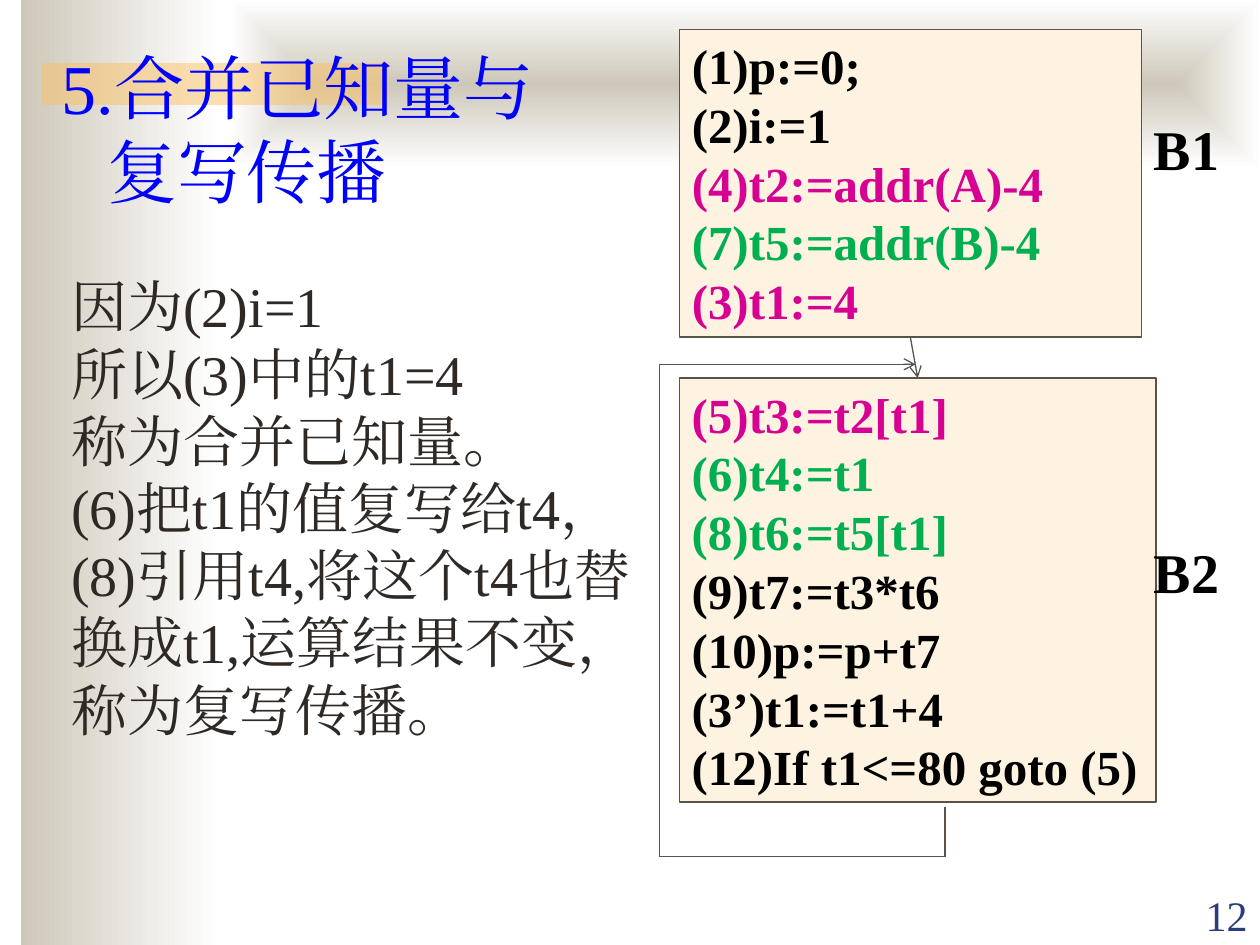
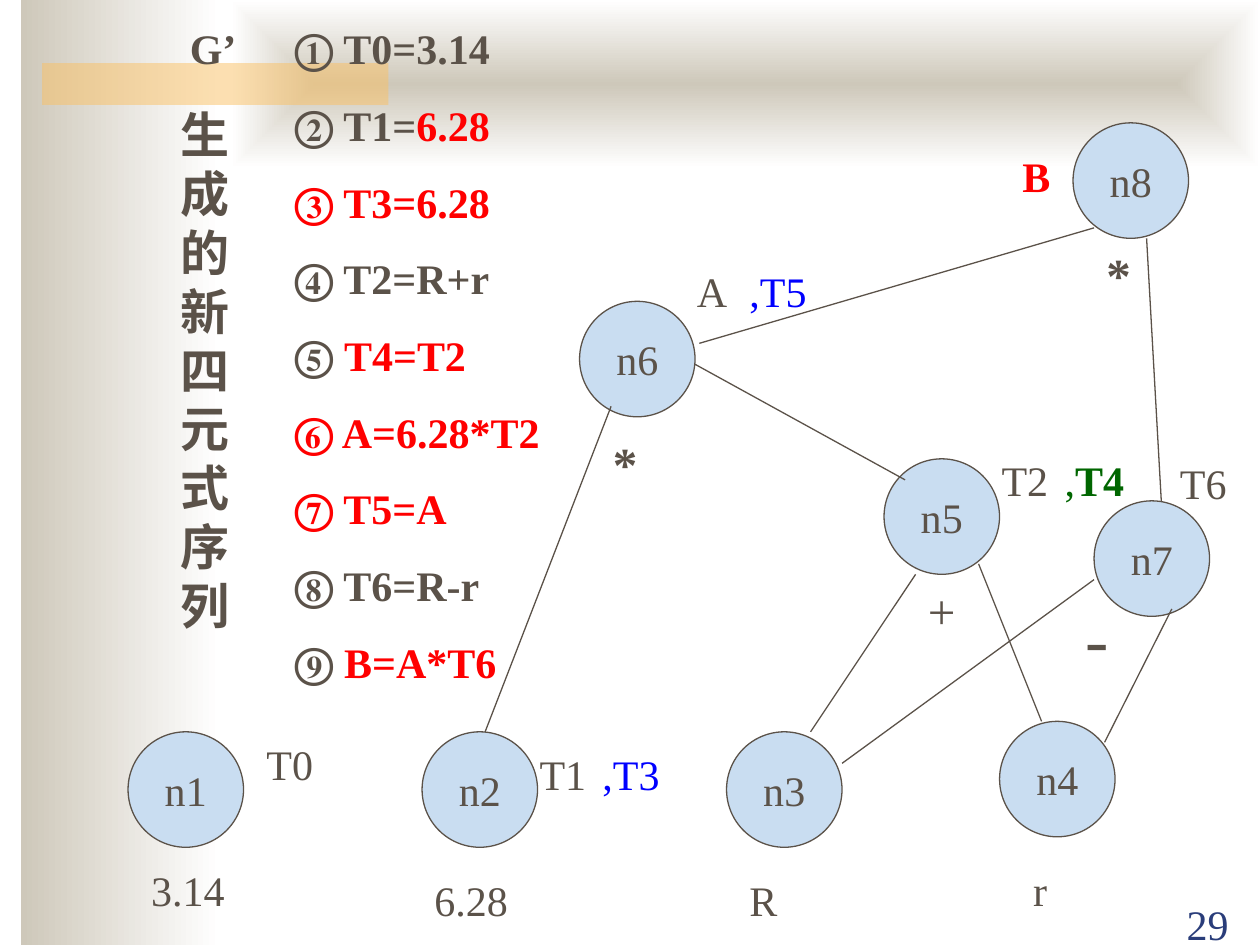
from dataclasses import dataclass
from typing import NamedTuple

from lxml import etree
from pptx import Presentation
from pptx.dml.color import RGBColor
from pptx.enum.shapes import MSO_CONNECTOR as Connector, MSO_SHAPE as Preset
from pptx.enum.text import MSO_ANCHOR as Anchor, PP_ALIGN as Align
from pptx.oxml.ns import qn
from pptx.util import Inches, Pt

# The slide is a grid of 120 columns and 90 rows, twelve to the inch.
WIDTH, HEIGHT = Inches(10), Inches(7.5)
COLUMN, ROW = WIDTH / 120, HEIGHT / 90

SERIF, SANS = "Times New Roman", "Noto Sans CJK JP"
LINE_PITCH = 1.2
INK, DARK, BLACK = "5B5249", "2E2925", "000000"
STONE, WHITE, AMBER, NAVY = "CEC8BA", "FFFFFF", "FAC164", "2A3D7A"
CREAM, SKY = "FEF3E0", "C9DDF1"
RED, BLUE, MAGENTA = "FF0000", "0000FF", "D60093"
GREEN, DARK_GREEN = "00B050", "006600"


class Area(NamedTuple):
    column: float
    row: float
    columns: float
    rows: float

    def emu(self) -> tuple[int, int, int, int]:
        return (round(self.column * COLUMN), round(self.row * ROW),
                round(self.columns * COLUMN), round(self.rows * ROW))


class Piece(NamedTuple):
    text: str
    color: str = INK
    bold: bool = False


@dataclass(frozen=True)
class Style:
    size: float = 24
    font: str = SERIF
    align: Align = Align.LEFT
    anchor: Anchor = Anchor.TOP
    wrap: bool = True
    space_before: float = 0


class Label(NamedTuple):
    column: float
    row: float
    columns: float
    pieces: list[Piece]
    size: float = 24


class Edge(NamedTuple):
    start: tuple[float, float]
    end: tuple[float, float]
    arrow: bool = False


NODE_STYLE = Style(align=Align.CENTER, anchor=Anchor.MIDDLE, wrap=False)
NODE_SIZE = 11
# The expression graph sits slightly off the whole grid lines.
GRAPH_COLUMN, GRAPH_ROW = 0.2, 0.7


def rgb(color: str) -> RGBColor:
    return RGBColor.from_string(color)


def write(shape, paragraphs: list[list[Piece]], style: Style) -> None:
    frame = shape.text_frame
    frame.word_wrap = style.wrap
    frame.vertical_anchor = style.anchor
    for index, pieces in enumerate(paragraphs):
        paragraph = frame.add_paragraph() if index else frame.paragraphs[0]
        paragraph.alignment = style.align
        paragraph.line_spacing = Pt(style.size * LINE_PITCH)
        paragraph.space_before = Pt(style.space_before if index else 0)
        for piece in pieces:
            run = paragraph.add_run()
            run.text = piece.text
            run.font.name, run.font.size = style.font, Pt(style.size)
            run.font.bold = piece.bold
            run.font.color.rgb = rgb(piece.color)
            east_asian = etree.SubElement(run.font._element, qn("a:ea"))
            east_asian.set("typeface", style.font)


def add_text(slide, area: Area, paragraphs: list[list[Piece]], style: Style = Style()):
    box = slide.shapes.add_textbox(*area.emu())
    write(box, paragraphs, style)
    return box


def add_panel(slide, preset: Preset, area: Area, color: str, outline: str | None = None):
    shape = slide.shapes.add_shape(preset, *area.emu())
    shape.shadow.inherit = False
    shape.fill.solid()
    shape.fill.fore_color.rgb = rgb(color)
    if outline:
        shape.line.color.rgb = rgb(outline)
        shape.line.width = Pt(0.75)
    else:
        shape.line.fill.background()
    return shape


def add_fade(slide, area: Area, from_center: bool) -> None:
    """Fade stone to white, left to right or outwards from the centre."""
    fill = add_panel(slide, Preset.RECTANGLE, area, STONE).fill
    fill.gradient()
    for stop, color in zip(fill.gradient_stops, (STONE, WHITE)):
        stop.color.rgb = rgb(color)
    fill.gradient_angle = 0
    if from_center:
        gradient = slide.shapes[-1]._element.spPr.find(qn("a:gradFill"))
        gradient.remove(gradient.find(qn("a:lin")))
        outward = etree.SubElement(gradient, qn("a:path"))
        outward.set("path", "rect")
        center = etree.SubElement(outward, qn("a:fillToRect"))
        for side in "ltrb":
            center.set(side, "50000")


def add_edge(slide, edge: Edge):
    (x1, y1), (x2, y2) = edge.start, edge.end
    connector = slide.shapes.add_connector(
        Connector.STRAIGHT, round(x1 * COLUMN), round(y1 * ROW),
        round(x2 * COLUMN), round(y2 * ROW))
    connector.line.color.rgb = rgb(INK)
    connector.line.width = Pt(0.75)
    if edge.arrow:
        tail = etree.SubElement(connector.line._get_or_add_ln(), qn("a:tailEnd"))
        tail.set("type", "arrow")
    etree.SubElement(connector._element.spPr, qn("a:effectLst"))
    return connector


def add_base_slide(presentation, number: str, number_column: float, number_row: float):
    """Add a slide with the shared bands and its page number."""
    slide = presentation.slides.add_slide(presentation.slide_layouts[6])
    add_fade(slide, Area(2, 0, 19, 90), from_center=False)
    add_fade(slide, Area(22, 0, 98, 16), from_center=True)
    accent = add_panel(slide, Preset.RECTANGLE, Area(4, 6, 33, 4), AMBER)
    color = accent._element.spPr.find(qn("a:solidFill"))[0]
    etree.SubElement(color, qn("a:alpha")).set("val", "50000")
    add_text(slide, Area(number_column, number_row, 12, 6), [[Piece(number, NAVY)]],
             Style(align=Align.RIGHT, anchor=Anchor.BOTTOM))
    return slide


def add_code_block(slide, area: Area, lines: list[tuple[str, str]]):
    block = add_panel(slide, Preset.RECTANGLE, area, CREAM, INK)
    write(block, [[Piece(text, color, True)] for text, color in lines], Style(28))
    return block


def build_propagation_slide(presentation) -> None:
    slide = add_base_slide(presentation, "12", 108, 84.1)
    explanation = ["因为(2)i=1", "所以(3)中的t1=4", "称为合并已知量。",
                   "(6)把t1的值复写给t4，(8)引用t4,将这个t4也替换成t1,运算结果不变，称为复写传播。"]
    add_text(slide, Area(5.6, 25.3, 56.3, 52.4),
             [[Piece(text, DARK)] for text in explanation], Style(32))
    title = add_text(slide, Area(4.7, 3.7, 54.4, 17.3),
                     [[Piece("5.合并已知量与", BLUE)], [Piece("复写传播", BLUE)]], Style(40))
    second_line = title.text_frame.paragraphs[1]._p.get_or_add_pPr()
    second_line.set("marL", str(Inches(0.36)))

    block_1 = add_code_block(slide, Area(64.7, 2.8, 44, 29.3), [
        ("(1)p:=0;", BLACK), ("(2)i:=1", BLACK), ("(4)t2:=addr(A)-4", MAGENTA),
        ("(7)t5:=addr(B)-4", GREEN), ("(3)t1:=4", MAGENTA)])
    block_2 = add_code_block(slide, Area(64.7, 36, 45.4, 40.4), [
        ("(5)t3:=t2[t1]", MAGENTA), ("(6)t4:=t1", GREEN), ("(8)t6:=t5[t1]", GREEN),
        ("(9)t7:=t3*t6", BLACK), ("(10)p:=p+t7", BLACK), ("(3’)t1:=t1+4", BLACK),
        ("(12)If t1<=80 goto (5)", BLACK)])

    loop = [(90, 76.9), (90, 81.6), (62.8, 81.6), (62.8, 34.7), (87.2, 34.7)]
    for index, (start, end) in enumerate(zip(loop, loop[1:]), 2):
        add_edge(slide, Edge(start, end, arrow=index == len(loop)))
    for name, row in (("B1", 10.3), ("B2", 50.6)):
        add_text(slide, Area(108.7, row, 13.1, 7.7), [[Piece(name, BLACK, True)]], Style(32))
    flow = add_edge(slide, Edge((86.7, 32.1), (87.4, 36), arrow=True))
    flow.begin_connect(block_1, 2)
    flow.end_connect(block_2, 0)


NODES = {"n1": (12, 69), "n7": (104, 47), "n2": (40, 69), "n6": (55, 28),
         "n8": (102, 11), "n5": (84, 43), "n3": (69, 69), "n4": (95, 68)}

EDGES = [
    Edge((87, 54), (77, 69)), Edge((93, 53), (99, 68)),
    Edge((58, 38), (46, 69)), Edge((66, 34), (86, 45)),
    Edge((104, 54.5), (80, 72)), Edge((111.4, 57.3), (105, 70)),
    Edge((104, 21), (66.4, 32)), Edge((109, 22), (110.4, 47)),
]

LABELS = [
    Label(13, 81, 10, [Piece("3.14")]),
    Label(24, 69, 10, [Piece("T0")]),
    Label(40, 82, 11, [Piece("6.28")]),
    Label(50, 70, 9, [Piece("T1")]),
    Label(70, 82, 11, [Piece("R")]),
    Label(97, 81, 10, [Piece("r")]),
    Label(87, 54, 8, [Piece("+")], 28),
    Label(94, 42, 8, [Piece("T2")]),
    Label(57, 40, 10, [Piece("*", bold=True)], 28),
    Label(65, 24, 7, [Piece("A")]),
    Label(56, 70, 11, [Piece(",T3", BLUE)]),
    Label(100, 42, 10, [Piece(",", DARK_GREEN), Piece("T4", DARK_GREEN, True)]),
    Label(70, 24, 11, [Piece(",T5", BLUE)]),
    Label(102, 55.3, 6, [Piece("-")], 40),
    Label(111, 42.3, 7, [Piece("T6")]),
    Label(104, 22, 5, [Piece("*", bold=True)], 28),
    Label(96, 13, 9, [Piece("B", RED, True)]),
]

QUADRUPLES = [
    [Piece("G’\t① T0=3.14")],
    [Piece("② T1="), Piece("6.28", RED)],
    [Piece("③ T3=6.28", RED)],
    [Piece("④ T2=R+r")],
    [Piece("⑤ "), Piece("T4=T2", RED)],
    [Piece("⑥ A=6.28*T2", RED)],
    [Piece("⑦ T5=A", RED)],
    [Piece("⑧ T6=R-r")],
    [Piece("⑨ "), Piece("B=A*T6", RED)],
]


def add_quadruples(slide) -> None:
    """List the statements on a hanging indent, with G’ in the margin."""
    rows = [[piece._replace(bold=True) for piece in row] for row in QUADRUPLES]
    box = add_text(slide, Area(16.9, 1.6, 37.4, 71.8), rows, Style(space_before=15))
    indent = Inches(0.83)
    for index, paragraph in enumerate(box.text_frame.paragraphs):
        properties = paragraph._p.get_or_add_pPr()
        properties.set("marL", str(indent))
        properties.set("indent", str(0 if index else -indent))
        if index == 0:
            stops = etree.SubElement(properties, qn("a:tabLst"))
            stop = etree.SubElement(stops, qn("a:tab"))
            stop.set("pos", str(indent))
            stop.set("algn", "l")


def build_graph_slide(presentation) -> None:
    slide = add_base_slide(presentation, "29", 106.2, 85)
    for name, (column, row) in NODES.items():
        area = Area(column + GRAPH_COLUMN, row + GRAPH_ROW, NODE_SIZE, NODE_SIZE)
        node = add_panel(slide, Preset.OVAL, area, SKY, INK)
        write(node, [[Piece(name)]], NODE_STYLE)
    for edge in EDGES:
        start, end = ((column + GRAPH_COLUMN, row + GRAPH_ROW)
                      for column, row in (edge.start, edge.end))
        add_edge(slide, Edge(start, end))
    for label in LABELS:
        area = Area(label.column + GRAPH_COLUMN, label.row + GRAPH_ROW,
                    label.columns, label.size / 4)
        add_text(slide, area, [label.pieces], Style(label.size))
    add_text(slide, Area(16, 9.4, 8.4, 51.7),
             [[Piece("生成的新四元式序列", bold=True)]], Style(28, SANS))
    add_quadruples(slide)


def main() -> None:
    presentation = Presentation()
    presentation.slide_width, presentation.slide_height = WIDTH, HEIGHT
    build_propagation_slide(presentation)
    build_graph_slide(presentation)
    presentation.save("out.pptx")


if __name__ == "__main__":
    main()
